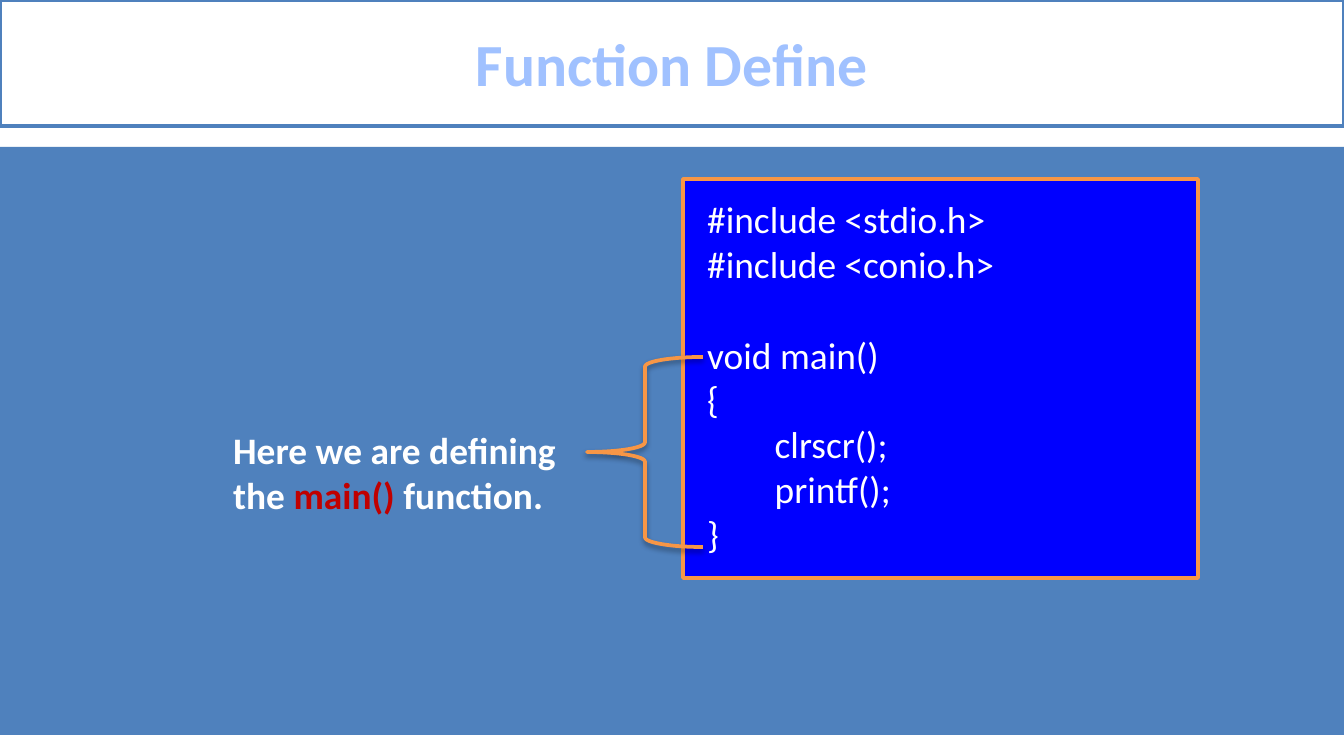
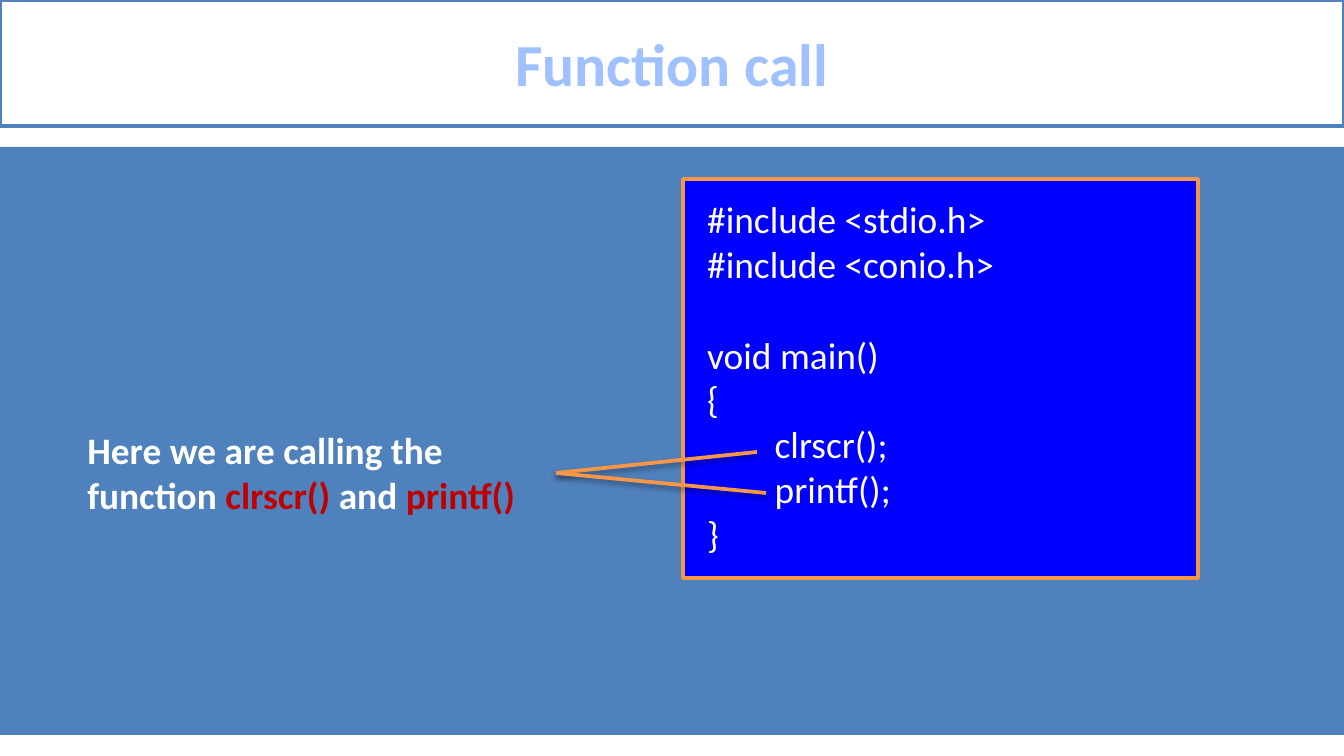
"""Build two slides that explain defining and calling a C function."""
from lxml.etree import SubElement
from pptx import Presentation
from pptx.dml.color import RGBColor
from pptx.enum.shapes import MSO_CONNECTOR, MSO_SHAPE
from pptx.enum.text import MSO_ANCHOR, MSO_AUTO_SIZE, PP_ALIGN
from pptx.oxml import parse_xml
from pptx.oxml.ns import nsdecls, qn
from pptx.util import Emu, Pt

CODE = ["#include <stdio.h>", "#include <conio.h>", "void main()", "{",
        "        clrscr();", "        printf();", "}"]
SECTION_START = "void main()"

SLIDES = [
    {"title": "Function Define",
     "note": [[("Here we are defining", False)],
              [("the ", False), ("main() ", True), ("function.", False)]],
     "note_at": (220, 421, 430, 103),
     "brace": (587, 357, 116, 190)},
    {"title": "Function call",
     "note": [[("Here we are calling the", False)],
              [("function ", False), ("clrscr() ", True), ("and ", False), ("printf()", True)]],
     "note_at": (74, 421, 473, 103),
     "call_marks": [(757, 452), (766, 493)],
     "call_hub": (556, 473)},
]

WHITE = RGBColor(0xFF, 0xFF, 0xFF)
STEEL = RGBColor(0x4F, 0x81, 0xBD)
CODE_BLUE = RGBColor(0x00, 0x00, 0xFF)
ORANGE = RGBColor(0xF7, 0x96, 0x46)
RED = RGBColor(0xC0, 0x00, 0x00)
TITLE_OUTLINE = RGBColor(0x46, 0x7A, 0xB8)
PALE = RGBColor(0xBF, 0xD3, 0xF9)
SKY = RGBColor(0xA0, 0xC1, 0xFF)
NAVY = RGBColor(0x00, 0x3D, 0x85)
TITLE_STOPS = [(0, PALE), (9, SKY), (50, NAVY), (79, SKY), (100, PALE)]

FONT = "Calibri"
TEXT_SIZE = Pt(20)
BLANK_LINE = Pt(24.4)
LINE_WIDTH = Pt(2)
PX = 914400 / 134.4
SLIDE_SIZE = (1344, 756)
TITLE_BAR = (0, 0, 1344, 126)
BAND = (0, 147, 1344, 588)
CODE_PANEL = (683, 179, 515, 399)
CODE_TEXT = (694, 190, 336, 375)


def px(*lengths):
    return [Emu(round(length * PX)) for length in lengths]


def style_font(font, size, color=None, bold=False):
    font.name, font.size, font.bold = FONT, size, bold
    if color is not None:
        font.color.rgb = color


def style_box(shape, fill=None, line=None):
    if fill is None:
        shape.fill.background()
    else:
        shape.fill.solid()
        shape.fill.fore_color.rgb = fill
    if line is None:
        shape.line.fill.background()
    else:
        shape.line.color.rgb = line
        shape.line.width = LINE_WIDTH


def add_box(slide, kind, at, fill=None, line=None):
    box = slide.shapes.add_shape(kind, *px(*at))
    box.shadow.inherit = False
    style_box(box, fill, line)
    return box


def cast_shadow(shape):
    properties = shape._element.spPr
    for effects in properties.findall(qn("a:effectLst")):
        properties.remove(effects)
    properties.append(parse_xml(
        f'<a:effectLst {nsdecls("a")}><a:outerShdw blurRad="{Pt(3.1)}" dist="{Pt(1.6)}" '
        'dir="5400000" rotWithShape="0"><a:srgbClr val="000000"><a:alpha val="38000"/>'
        '</a:srgbClr></a:outerShdw></a:effectLst>'))


def add_title(slide, words):
    title = slide.shapes.title
    title.left, title.top, title.width, title.height = px(*TITLE_BAR)
    style_box(title, WHITE, STEEL)
    title.text_frame.text = words
    title.text_frame.vertical_anchor = MSO_ANCHOR.MIDDLE
    heading = title.text_frame.paragraphs[0]
    heading.alignment = PP_ALIGN.CENTER
    font = heading.runs[0].font
    style_font(font, Pt(32), bold=True)
    font.fill.gradient()
    font.fill.gradient_angle = 270
    run_properties = heading.runs[0]._r.get_or_add_rPr()
    stops = run_properties.find(".//" + qn("a:gsLst"))
    for stop in list(stops):
        stops.remove(stop)
    for percent, color in TITLE_STOPS:
        stop = SubElement(stops, qn("a:gs"), pos=str(percent * 1000))
        SubElement(stop, qn("a:srgbClr"), val=str(color))
    run_properties.insert(0, parse_xml(
        f'<a:ln {nsdecls("a")} w="{Pt(0.83)}"><a:solidFill>'
        f'<a:srgbClr val="{TITLE_OUTLINE}"/></a:solidFill></a:ln>'))


def add_text(slide, at, lines, bold=False):
    frame = slide.shapes.add_textbox(*px(*at)).text_frame
    frame.word_wrap = True
    frame.auto_size = MSO_AUTO_SIZE.SHAPE_TO_FIT_TEXT
    for index, pieces in enumerate(lines):
        paragraph = frame.add_paragraph() if index else frame.paragraphs[0]
        for words, is_name in pieces:
            run = paragraph.add_run()
            run.text = words
            style_font(run.font, TEXT_SIZE, RED if is_name else WHITE, bold)
    return frame


def add_code(slide):
    add_box(slide, MSO_SHAPE.RECTANGLE, CODE_PANEL, CODE_BLUE, ORANGE)
    code = add_text(slide, CODE_TEXT, [[(line, False)] for line in CODE])
    code.paragraphs[CODE.index(SECTION_START)].space_before = BLANK_LINE


def add_pointer(slide, start, end):
    pointer = slide.shapes.add_connector(MSO_CONNECTOR.STRAIGHT, *px(*start, *end))
    pointer.line.color.rgb = ORANGE
    pointer.line.width = LINE_WIDTH
    cast_shadow(pointer)


def main():
    deck = Presentation()
    deck.slide_width, deck.slide_height = px(*SLIDE_SIZE)
    title_only = deck.slide_layouts[5]
    for content in SLIDES:
        slide = deck.slides.add_slide(title_only)
        add_box(slide, MSO_SHAPE.RECTANGLE, BAND, STEEL)
        add_title(slide, content["title"])
        add_code(slide)
        if "brace" in content:
            cast_shadow(add_box(slide, MSO_SHAPE.LEFT_BRACE, content["brace"], line=ORANGE))
        add_text(slide, content["note_at"], content["note"], bold=True)
        for mark in content.get("call_marks", []):
            add_pointer(slide, mark, content["call_hub"])
    deck.save("out.pptx")


if __name__ == "__main__":
    main()
